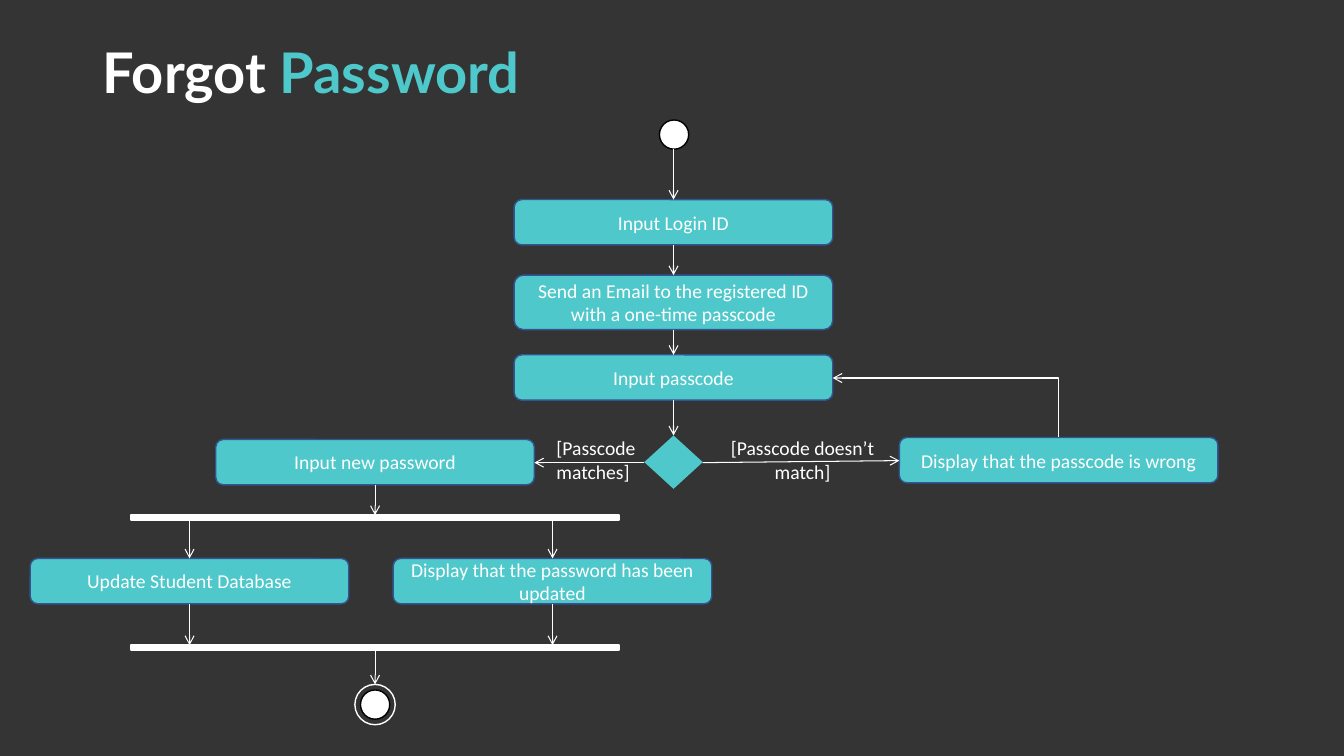
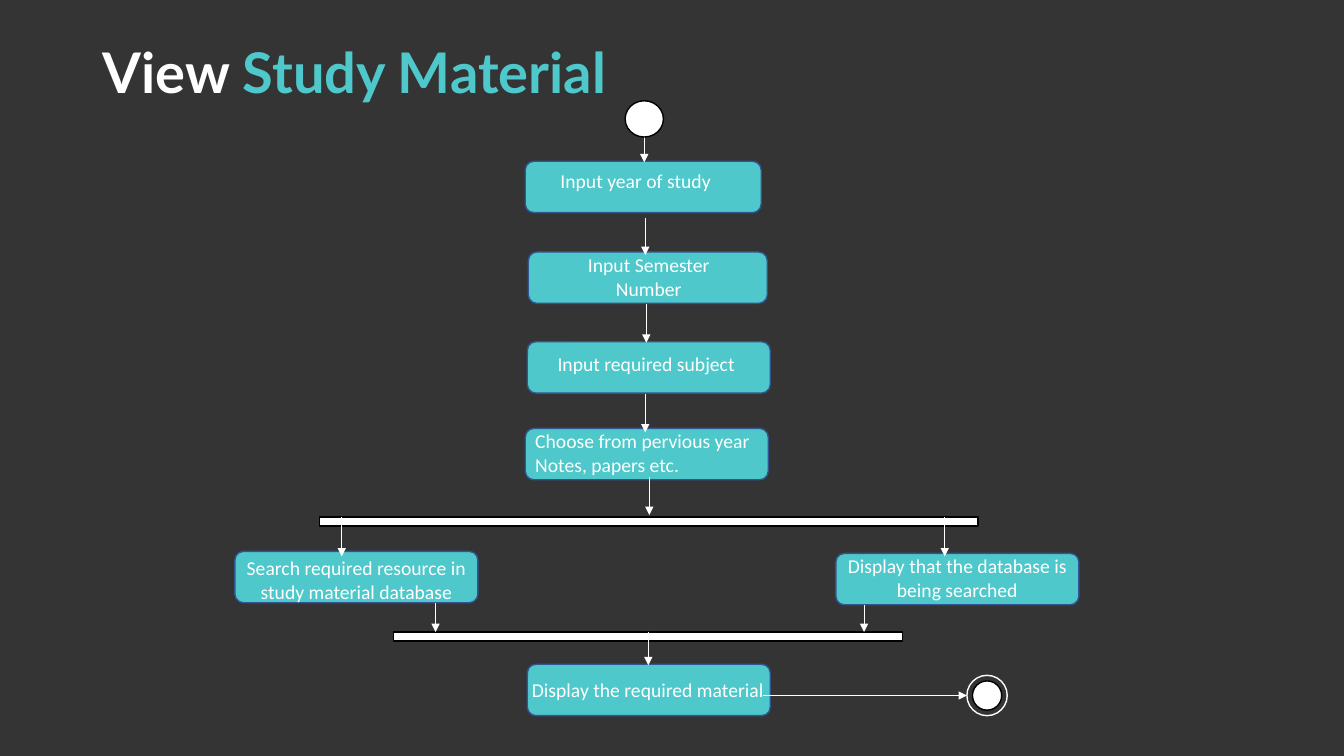
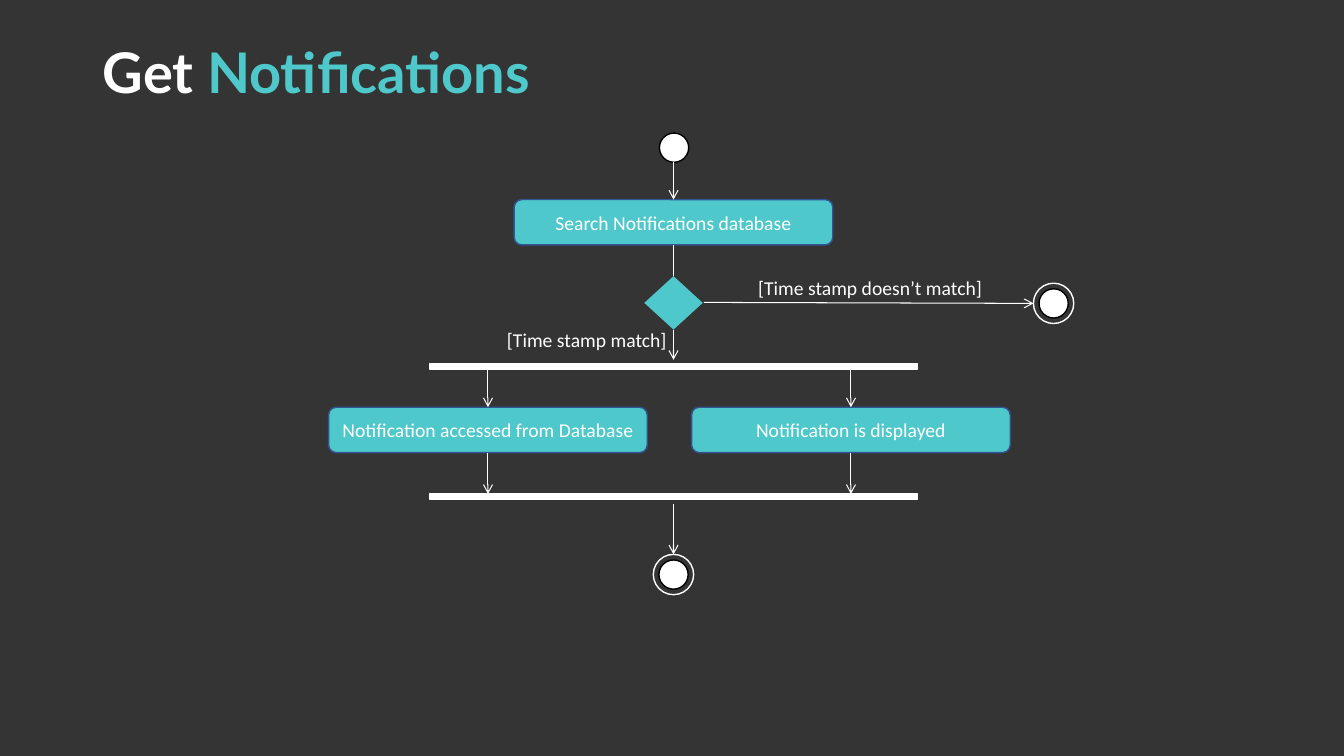
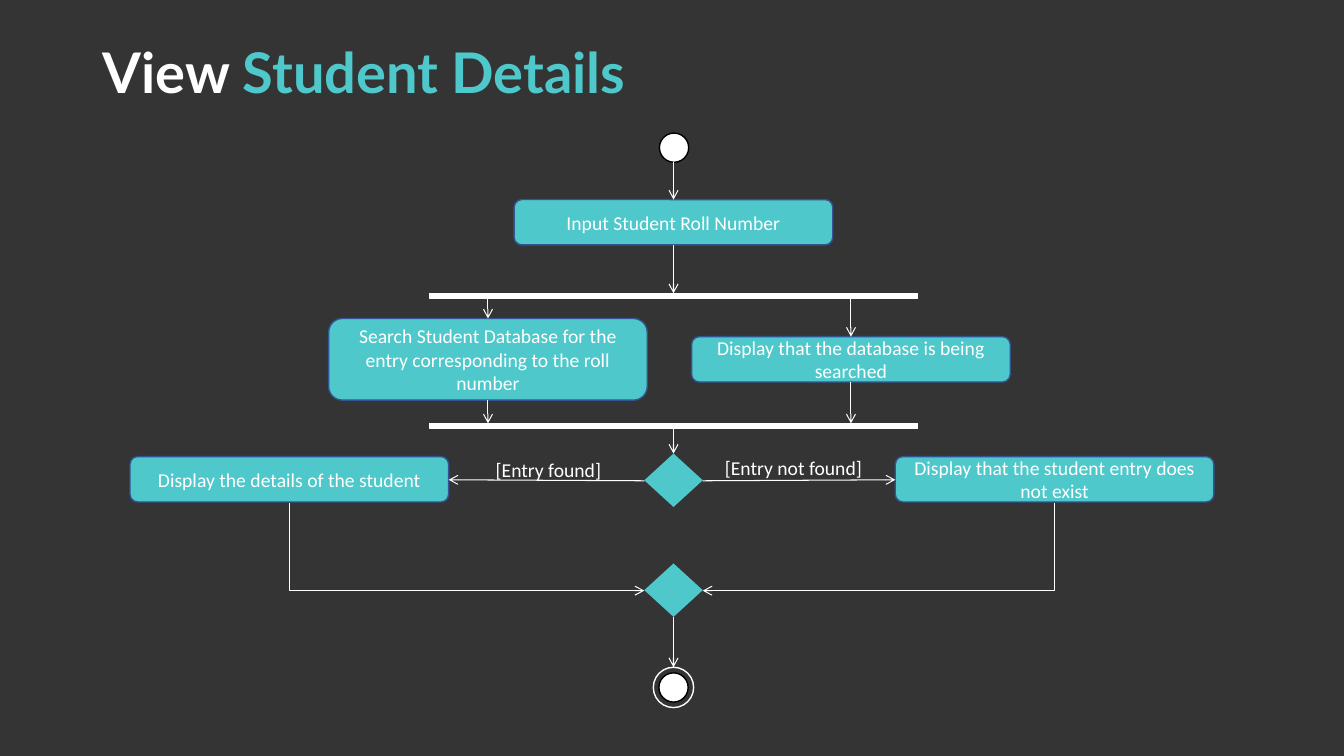
from dataclasses import dataclass

from lxml import etree
from pptx import Presentation
from pptx.dml.color import RGBColor
from pptx.enum.shapes import MSO_CONNECTOR, MSO_SHAPE
from pptx.enum.text import MSO_ANCHOR, MSO_AUTO_SIZE, PP_ALIGN
from pptx.oxml.ns import qn
from pptx.util import Emu, Pt

ROUNDED, ALTERNATE = MSO_SHAPE.ROUNDED_RECTANGLE, MSO_SHAPE.FLOWCHART_ALTERNATE_PROCESS
OVAL, BAR, DIAMOND = MSO_SHAPE.OVAL, MSO_SHAPE.RECTANGLE, MSO_SHAPE.DIAMOND
STRAIGHT, ELBOW = MSO_CONNECTOR.STRAIGHT, MSO_CONNECTOR.ELBOW
LEFT, CENTER = PP_ALIGN.LEFT, PP_ALIGN.CENTER
TOP, MIDDLE = MSO_ANCHOR.TOP, MSO_ANCHOR.MIDDLE
FIXED, GROW = MSO_AUTO_SIZE.NONE, MSO_AUTO_SIZE.SHAPE_TO_FIT_TEXT

EMU_PER_PX = 9144
TITLE_ONLY = 5
AXIS = 668
STEP_W, STEP_H = 316, 45
FORK_W, BAR_H, FORK_SPAN = 484, 5, 129


@dataclass(frozen=True)
class Theme:
    background: RGBColor = RGBColor.from_string("343434")
    accent: RGBColor = RGBColor.from_string("4EC8CA")
    outline: RGBColor = RGBColor.from_string("325491")
    white: RGBColor = RGBColor.from_string("FFFFFF")
    black: RGBColor = RGBColor.from_string("000000")
    title_font: str = "Lato"
    title_size: int = 40
    body_font: str = "Calibri"
    body_size: int = 14
    border: float = 1
    flow_line: float = 0.75
    thin_line: float = 0.5


THEME = Theme()


def px(*lengths):
    return [Emu(round(length * EMU_PER_PX)) for length in lengths]


def style_run(run, font, size, color, bold=False):
    run.font.name = font
    run.font.size = Pt(size)
    run.font.color.rgb = color
    run.font.bold = bold


def write(frame, text, align):
    frame.text = text
    for paragraph in frame.paragraphs:
        paragraph.alignment = align
        for run in paragraph.runs:
            style_run(run, THEME.body_font, THEME.body_size, THEME.white)


def set_up_deck():
    deck = Presentation()
    deck.slide_width, deck.slide_height = px(1333, 750)
    backdrop = deck.slide_master.background.fill
    backdrop.solid()
    backdrop.fore_color.rgb = THEME.background
    title = deck.slide_layouts[TITLE_ONLY].placeholders[0]
    title.left, title.top, title.width, title.height = px(92, 40, 696, 145)
    return deck


def add_titled_slide(deck, lead, topic):
    slide = deck.slides.add_slide(deck.slide_layouts[TITLE_ONLY])
    frame = slide.shapes.title.text_frame
    frame.vertical_anchor = TOP
    frame.auto_size = FIXED
    frame.word_wrap = True
    heading = frame.paragraphs[0]
    heading.alignment = LEFT
    heading.line_spacing = 0.9
    for words, color in ((lead + " ", THEME.white), (topic, THEME.accent)):
        run = heading.add_run()
        run.text = words
        style_run(run, THEME.title_font, THEME.title_size, color, bold=True)
    return slide


def add_node(shapes, preset, box, fill, outline=None):
    node = shapes.add_shape(preset, *px(*box))
    node.shadow.inherit = False
    node.fill.solid()
    node.fill.fore_color.rgb = fill
    if outline is None:
        node.line.fill.background()
    else:
        node.line.color.rgb = outline
        node.line.width = Pt(THEME.border)
    return node


def add_step(slide, text, x, y, height=STEP_H):
    step = add_node(slide.shapes, ROUNDED, (x, y, STEP_W, height), THEME.accent, THEME.outline)
    step.text_frame.word_wrap = True
    step.text_frame.vertical_anchor = MIDDLE
    write(step.text_frame, text, CENTER)


def add_label(slide, text, box, align=CENTER):
    frame = slide.shapes.add_textbox(*px(*box)).text_frame
    frame.word_wrap = True
    frame.auto_size = GROW
    write(frame, text, align)


def add_start(slide, x, y, width=29, height=29):
    add_node(slide.shapes, OVAL, (x, y, width, height), THEME.white, THEME.black)


def add_end(slide, x, y):
    end = slide.shapes.add_group_shape()
    add_node(end.shapes, OVAL, (x, y, 40, 40), THEME.background, THEME.white)
    add_node(end.shapes, OVAL, (x + 5.5, y + 5.5, 29, 29), THEME.white, THEME.black)


def add_decision(slide, y):
    add_node(slide.shapes, DIAMOND, (AXIS - 29, y, 58, 53), THEME.accent)


def style_connector(connector, head, weight):
    connector.line.color.rgb = THEME.white
    connector.line.width = Pt(weight)
    properties = connector._element.spPr
    if head:
        etree.SubElement(properties.find(qn("a:ln")), qn("a:tailEnd"), type=head)
    etree.SubElement(properties, qn("a:effectLst"))


def add_flow(slide, start, finish, head="arrow", weight=THEME.flow_line):
    flow = slide.shapes.add_connector(STRAIGHT, *px(*start, *finish))
    style_connector(flow, head, weight)


def add_turn(slide, start, finish):
    (x0, y0), (x1, y1) = start, finish
    mid_x, mid_y = (x0 + x1) / 2, (y0 + y1) / 2
    half_x, half_y = (x1 - x0) / 2, (y1 - y0) / 2
    turn = slide.shapes.add_connector(
        ELBOW, *px(mid_x - half_y, mid_y + half_x, mid_x + half_y, mid_y - half_x))
    properties = turn._element.spPr
    properties.find(qn("a:xfrm")).set("rot", "5400000")
    properties.find(qn("a:prstGeom")).set("prst", "bentConnector2")
    style_connector(turn, "arrow", THEME.flow_line)


def add_fork(slide, x, top, branches):
    bottom = top + FORK_SPAN
    for bar_top in (top, bottom):
        add_node(slide.shapes, BAR, (x, bar_top, FORK_W, BAR_H), THEME.white, THEME.white)
    for index, (text, height) in enumerate(branches):
        step_x = x - 100 + 360 * index
        step_y = top + 65 - height // 2
        lane = step_x + STEP_W // 2
        add_step(slide, text, step_x, step_y, height)
        add_flow(slide, (lane, top + BAR_H), (lane, step_y))
        add_flow(slide, (lane, step_y + height), (lane, bottom))


def build_forgot_password(deck):
    slide = add_titled_slide(deck, "Forgot", "Password")
    add_start(slide, 654, 119)
    for text, y, height in (
        ("Input Login ID", 198, STEP_H),
        ("Send an Email to the registered ID with a one-time passcode", 273, 54),
        ("Input passcode", 352, STEP_H),
    ):
        add_step(slide, text, 510, y, height)
    add_decision(slide, 432)
    add_step(slide, "Input new password", 214, 436)
    add_step(slide, "Display that the passcode is wrong", 892, 434)
    add_fork(slide, 130, 511, (
        ("Update Student Database", STEP_H),
        ("Display that the password has been updated", STEP_H),
    ))
    for y0, y1 in ((148, 198), (243, 273), (327, 352), (397, 432)):
        add_flow(slide, (AXIS, y0), (AXIS, y1))
    add_flow(slide, (639, 459), (530, 459))
    add_flow(slide, (697, 459), (892, 457))
    add_flow(slide, (372, 481), (372, 511))
    add_flow(slide, (372, 645), (372, 679))
    add_turn(slide, (1050, 434), (826, 375))
    add_label(slide, "[Passcode\nmatches]", (542, 428, 100, 57), LEFT)
    add_label(slide, "[Passcode doesn’t\nmatch]", (700, 428, 192, 57))
    add_end(slide, 352, 679)


def build_study_material(deck):
    slide = add_titled_slide(deck, "View", "Study Material")
    for x, y, width in (
        (521, 160, 234), (524, 250, 237), (523, 339, 241), (521, 425, 241),
        (233, 547, 241), (829, 549, 241), (523, 659, 241),
    ):
        add_node(slide.shapes, ALTERNATE, (x, y, width, 51), THEME.accent, THEME.outline)
    for x, y, width in ((317, 513, 653), (390, 627, 505)):
        add_node(slide.shapes, BAR, (x, y, width, 9), THEME.white, THEME.black)
    for x, y0, y1 in (
        (639, 136, 161), (640, 216, 253), (641, 302, 340), (640, 391, 429),
        (644, 473, 511), (339, 513, 552), (937, 513, 552),
        (432, 598, 627), (857, 600, 627), (643, 627, 660),
    ):
        add_flow(slide, (x, y0), (x, y1), "triangle", THEME.thin_line)
    add_flow(slide, (757, 690), (959, 690), "triangle", THEME.thin_line)
    for text, box, align in (
        ("Input year of study", (546, 163, 211, 34), LEFT),
        ("Input Semester Number", (546, 246, 195, 57), CENTER),
        ("Input required subject", (521, 344, 240, 34), CENTER),
        ("Choose from pervious year\nNotes, papers etc.", (521, 421, 289, 57), LEFT),
        ("Search required resource in study material database", (222, 547, 263, 57), CENTER),
        ("Display that the database is being searched", (829, 545, 241, 57), CENTER),
        ("Display the required material", (492, 668, 301, 34), CENTER),
    ):
        add_label(slide, text, box, align)
    add_start(slide, 620, 100, 38, 36)
    add_end(slide, 959, 670)


def build_notifications(deck):
    slide = add_titled_slide(deck, "Get", "Notifications")
    add_start(slide, 654, 132)
    add_step(slide, "Search Notifications database", 510, 198)
    add_decision(slide, 274)
    add_fork(slide, 426, 361, (
        ("Notification accessed from Database", STEP_H),
        ("Notification is displayed", STEP_H),
    ))
    add_flow(slide, (AXIS, 161), (AXIS, 198))
    add_flow(slide, (AXIS, 243), (AXIS, 274), None, THEME.thin_line)
    add_flow(slide, (AXIS, 327), (AXIS, 357))
    add_flow(slide, (698, 300), (1025, 301))
    add_flow(slide, (AXIS, 500), (AXIS, 550))
    add_label(slide, "[Time stamp doesn’t match]", (742, 269, 258, 34), LEFT)
    add_label(slide, "[Time stamp match]", (493, 320, 293, 34), LEFT)
    add_end(slide, 1025, 281)
    add_end(slide, 648, 550)


def build_student_details(deck):
    slide = add_titled_slide(deck, "View", "Student Details")
    add_start(slide, 654, 132)
    add_step(slide, "Input Student Roll Number", 510, 198)
    add_fork(slide, 426, 291, (
        ("Search Student Database for the entry corresponding to the roll number", 81),
        ("Display that the database is being searched", STEP_H),
    ))
    add_step(slide, "Display the details of the student", 129, 453)
    add_step(slide, "Display that the student entry does not exist", 888, 453)
    for y in (450, 559):
        add_decision(slide, y)
    for y0, y1 in ((161, 198), (243, 291), (425, 450), (612, 662)):
        add_flow(slide, (AXIS, y0), (AXIS, y1))
    add_flow(slide, (639, 477), (445, 476))
    add_flow(slide, (697, 477), (888, 476))
    add_turn(slide, (287, 499), (639, 586))
    add_turn(slide, (1046, 499), (697, 586))
    add_label(slide, "[Entry found]", (448, 449, 192, 34))
    add_label(slide, "[Entry not found]", (691, 447, 192, 34))
    add_end(slide, 648, 662)


def main():
    deck = set_up_deck()
    build_forgot_password(deck)
    build_study_material(deck)
    build_notifications(deck)
    build_student_details(deck)
    deck.save("out.pptx")


if __name__ == "__main__":
    main()
